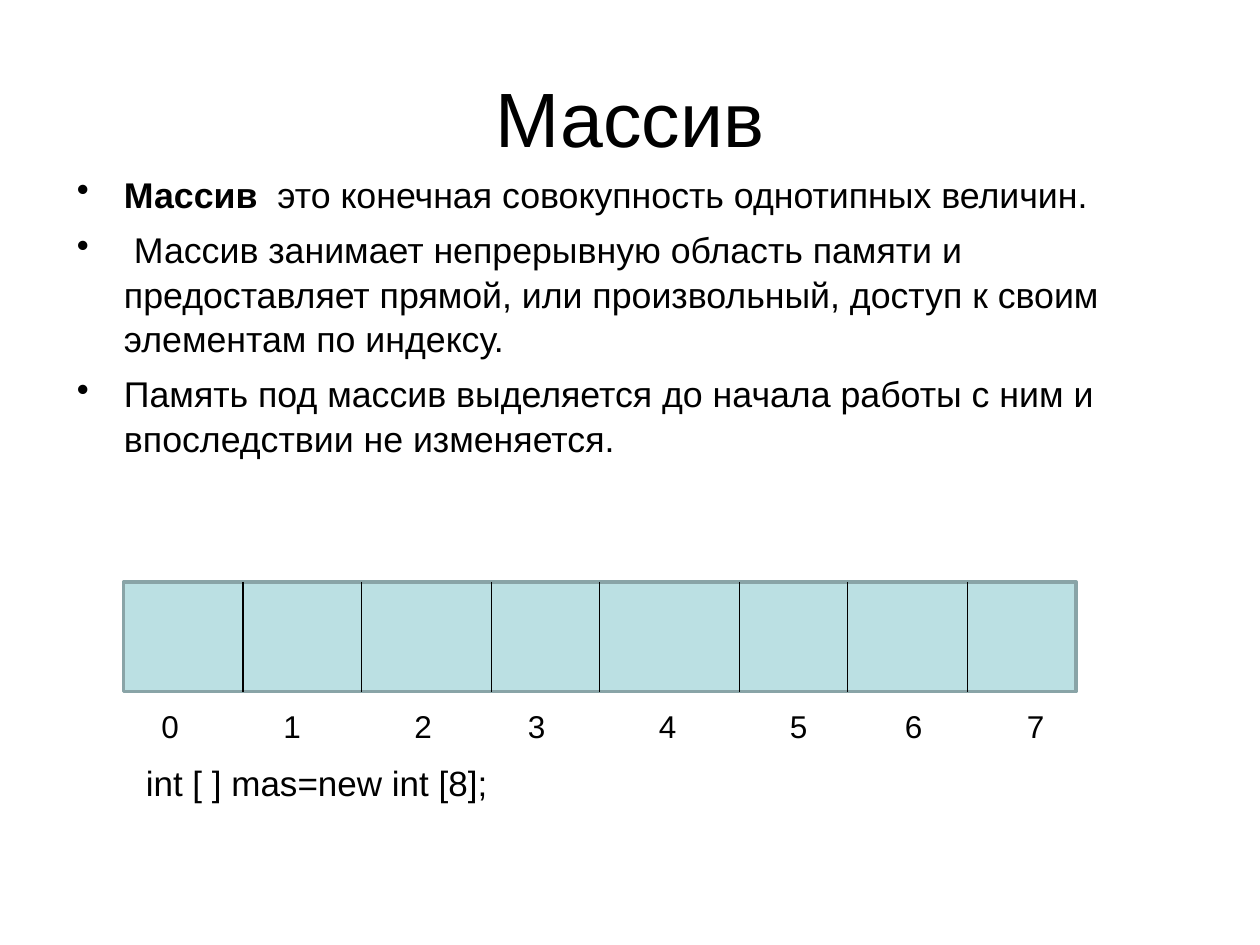
"""Build a slide that explains arrays and shows an indexed row of eight cells."""
from dataclasses import dataclass

from lxml.etree import SubElement
from pptx import Presentation
from pptx.dml.color import RGBColor
from pptx.enum.shapes import MSO_CONNECTOR as Connector, MSO_SHAPE as Preset
from pptx.enum.text import MSO_ANCHOR as Anchor, PP_ALIGN as Align
from pptx.oxml.ns import qn
from pptx.shapes.autoshape import Shape
from pptx.shapes.group import GroupShape
from pptx.slide import Slide
from pptx.util import Cm, Pt


@dataclass(frozen=True)
class Theme:
    font: str = "Arial"
    text: RGBColor = RGBColor(0x00, 0x00, 0x00)
    background: RGBColor = RGBColor(0xFF, 0xFF, 0xFF)
    cell_fill: RGBColor = RGBColor(0xBB, 0xE0, 0xE3)
    cell_border: RGBColor = RGBColor(0x89, 0xA4, 0xA7)
    title_size: float = 44
    body_size: float = 20.4
    index_size: float = 18
    code_size: float = 20
    border_width: float = 2
    divider_width: float = 0.75


@dataclass(frozen=True)
class Box:
    left: float
    top: float
    width: float
    height: float

    @property
    def lengths(self) -> tuple[Cm, Cm, Cm, Cm]:
        return Cm(self.left), Cm(self.top), Cm(self.width), Cm(self.height)


@dataclass(frozen=True)
class Bullet:
    text: str
    term: str = ""


THEME = Theme()
TITLE_BOX = Box(1.27, 0.76, 22.86, 3.18)
BODY_BOX = Box(1.3, 3.33, 22.86, 5.87)
ARRAY_BOX = Box(2.49, 11.73, 19.2, 2.21)
INDEX_BOX = Box(2.29, 14.12, 19.61, 1.02)
CODE_BOX = Box(2.69, 15.32, 12.6, 1.02)
ARRAY_MIDDLE = ARRAY_BOX.left + ARRAY_BOX.width / 2
DIVIDERS = (4.9, 7.29, 9.91, ARRAY_MIDDLE, 14.91, 17.09, 19.51)
INDEX_TABS = (0.89, 3.35, 5.99, 8.28, 10.92, 13.56, 15.88, 18.34)
BULLETS = (
    Bullet("  это конечная совокупность однотипных величин.", term="Массив"),
    Bullet(" Массив занимает непрерывную область памяти и предоставляет прямой, "
           "или произвольный, доступ к своим элементам по индексу."),
    Bullet("Память под массив выделяется до начала работы с ним и "
           "впоследствии не изменяется."),
)


def style_text(paragraph, size: float) -> None:
    paragraph.font.name = THEME.font
    paragraph.font.size = Pt(size)
    paragraph.font.color.rgb = THEME.text


def add_text(slide: Slide, box: Box, text: str, size: float) -> Shape:
    shape = slide.shapes.add_textbox(*box.lengths)
    shape.text_frame.word_wrap = True
    paragraph = shape.text_frame.paragraphs[0]
    paragraph.text = text
    style_text(paragraph, size)
    return shape


def add_title(slide: Slide, text: str) -> None:
    frame = add_text(slide, TITLE_BOX, text, THEME.title_size).text_frame
    frame.vertical_anchor = Anchor.MIDDLE
    frame.paragraphs[0].alignment = Align.CENTER


def add_bullets(slide: Slide, bullets: tuple[Bullet, ...]) -> None:
    frame = slide.shapes.add_textbox(*BODY_BOX.lengths).text_frame
    frame.word_wrap = True
    for number, bullet in enumerate(bullets):
        paragraph = frame.add_paragraph() if number else frame.paragraphs[0]
        if bullet.term:
            term = paragraph.add_run()
            term.text = bullet.term
            term.font.bold = True
        paragraph.add_run().text = bullet.text
        style_text(paragraph, THEME.body_size)
        paragraph.space_before = Pt(6)
        paragraph.line_spacing = 1.04
        properties = paragraph._p.get_or_add_pPr()
        properties.set("marL", str(Cm(0.95)))
        properties.set("indent", str(-Cm(0.95)))
        mark = properties.makeelement(qn("a:buChar"), {"char": "•"})
        properties.insert_element_before(mark, "a:tabLst", "a:defRPr", "a:extLst")


def add_divider(group: GroupShape, array: Shape, position: float) -> None:
    top, bottom = Cm(ARRAY_BOX.top), Cm(ARRAY_BOX.top + ARRAY_BOX.height)
    divider = group.shapes.add_connector(
        Connector.STRAIGHT, Cm(position), top, Cm(position), bottom)
    divider.line.color.rgb = THEME.text
    divider.line.width = Pt(THEME.divider_width)
    SubElement(divider._element.spPr, qn("a:effectLst"))
    if position == ARRAY_MIDDLE:
        divider.begin_connect(array, 0)
        divider.end_connect(array, 2)


def add_array(slide: Slide) -> None:
    group = slide.shapes.add_group_shape()
    array = group.shapes.add_shape(Preset.RECTANGLE, *ARRAY_BOX.lengths)
    array.shadow.inherit = False
    array.fill.solid()
    array.fill.fore_color.rgb = THEME.cell_fill
    array.line.color.rgb = THEME.cell_border
    array.line.width = Pt(THEME.border_width)
    for position in DIVIDERS:
        add_divider(group, array, position)


def add_indices(slide: Slide) -> None:
    text = "".join(f"\t{index}" for index in range(len(INDEX_TABS)))
    shape = add_text(slide, INDEX_BOX, text, THEME.index_size)
    properties = shape.text_frame.paragraphs[0]._p.get_or_add_pPr()
    tabs = properties.makeelement(qn("a:tabLst"), {})
    for position in INDEX_TABS:
        SubElement(tabs, qn("a:tab"), pos=str(Cm(position)), algn="ctr")
    properties.insert_element_before(tabs, "a:defRPr", "a:extLst")


def main() -> None:
    presentation = Presentation()
    presentation.slide_width, presentation.slide_height = Cm(25.4), Cm(19.05)
    slide = presentation.slides.add_slide(presentation.slide_layouts[6])
    slide.background.fill.solid()
    slide.background.fill.fore_color.rgb = THEME.background
    add_title(slide, "Массив")
    add_bullets(slide, BULLETS)
    add_array(slide)
    add_indices(slide)
    code = add_text(slide, CODE_BOX, "int [ ] mas=new int [8];", THEME.code_size)
    code.text_frame.paragraphs[0].line_spacing = 0.9
    presentation.save("out.pptx")


if __name__ == "__main__":
    main()
